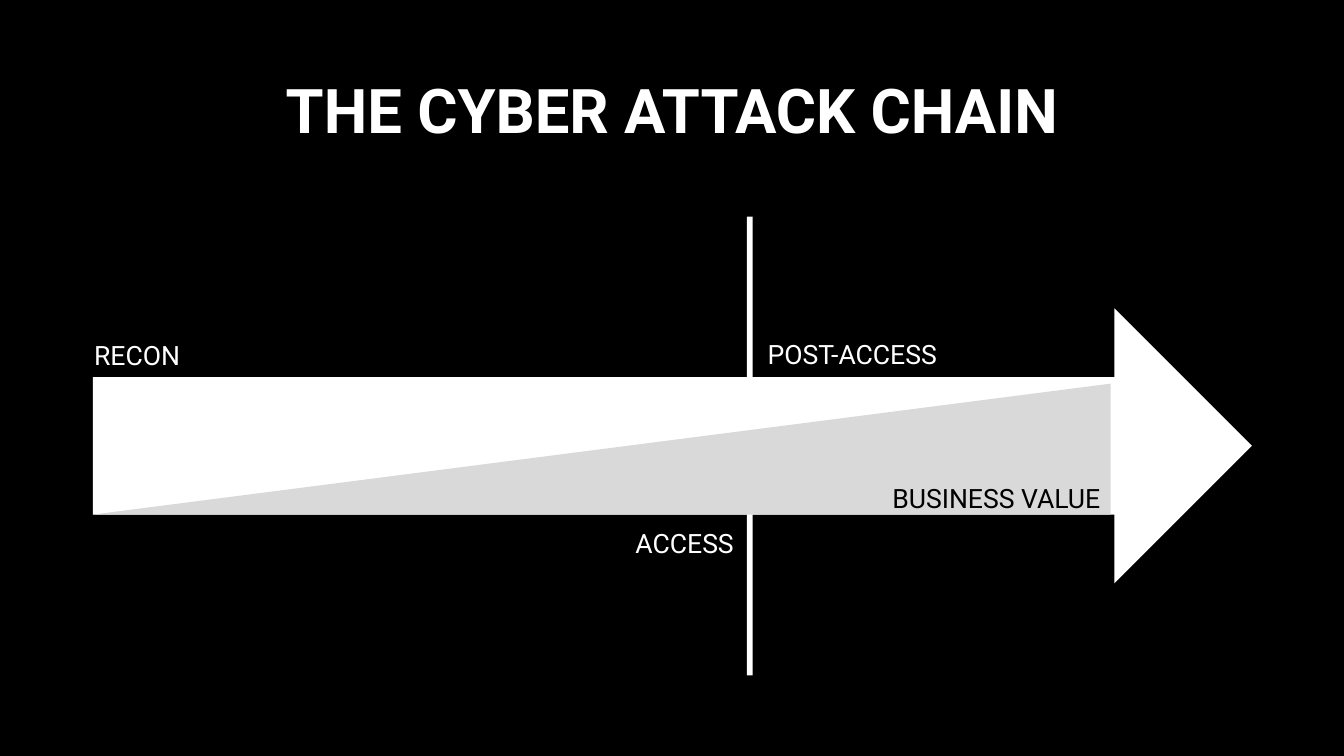
"""Builds the slide about the cyber attack chain."""
from dataclasses import dataclass

from pptx import Presentation
from pptx.dml.color import RGBColor as RGB
from pptx.enum.shapes import MSO_SHAPE as Shape
from pptx.enum.text import MSO_ANCHOR as Anchor, PP_ALIGN as Align
from pptx.util import Cm, Pt


@dataclass(frozen=True)
class Theme:
    """Colours, font and type sizes."""
    black: RGB = RGB(0x00, 0x00, 0x00)
    white: RGB = RGB(0xFF, 0xFF, 0xFF)
    grey: RGB = RGB(0xD9, 0xD9, 0xD9)
    font: str = "Roboto"
    title_size: int = 44
    label_size: int = 19


THEME = Theme()
LEFT, WIDTH = 2.34, 29.21
LABEL_HEIGHT = 1.37
ARROW_TOP, ARROW_HEIGHT = 7.77, 6.93
VALUE_WIDTH, VALUE_HEIGHT = 25.65, 3.3

TITLE = "THE CYBER ATTACK CHAIN"
LABELS = [
    ("RECON", 1.65, 8.28, 3.61, THEME.white),
    ("ACCESS", 15.54, 13.03, 3.43, THEME.white),
    ("POST-ACCESS", 18.57, 8.26, 5.82, THEME.white),
    ("BUSINESS VALUE", 21.44, 11.89, 7.34, THEME.black),
]


def add_solid(slide, kind, left, top, width, height, colour):
    """Add a filled shape without outline or shadow."""
    solid = slide.shapes.add_shape(kind, Cm(left), Cm(top), Cm(width), Cm(height))
    solid.shadow.inherit = False
    solid.fill.solid()
    solid.fill.fore_color.rgb = colour
    solid.line.fill.background()
    return solid


def add_words(slide, words, left, top, width, height, size, colour, inset, bold=False):
    """Add one centred line of text and return its text frame."""
    frame = slide.shapes.add_textbox(Cm(left), Cm(top), Cm(width), Cm(height)).text_frame
    frame.word_wrap = True
    frame.margin_left = frame.margin_right = Cm(0.25)
    frame.margin_top = frame.margin_bottom = Cm(inset)
    line = frame.paragraphs[0]
    line.alignment = Align.CENTER
    run = line.add_run()
    run.text = words
    run.font.name = THEME.font
    run.font.size = Pt(size)
    run.font.bold = bold
    run.font.color.rgb = colour
    return frame


def main():
    """Draw the title, the arrow with its parts, and the labels."""
    deck = Presentation()
    deck.slide_width, deck.slide_height = Cm(33.87), Cm(19.05)
    slide = deck.slides.add_slide(deck.slide_layouts[6])
    slide.background.fill.solid()
    slide.background.fill.fore_color.rgb = THEME.black

    title = add_words(slide, TITLE, LEFT, 1.02, WIDTH, 3.68,
                      THEME.title_size, THEME.white, 0.13, bold=True)
    title.vertical_anchor = Anchor.MIDDLE
    title.paragraphs[0].line_spacing = 0.9

    add_solid(slide, Shape.RIGHT_ARROW, LEFT, ARROW_TOP, WIDTH, ARROW_HEIGHT, THEME.white)
    add_solid(slide, Shape.RECTANGLE, 18.82, 5.46, 0.15, 11.56, THEME.white)
    shaft_bottom = ARROW_TOP + ARROW_HEIGHT * 0.75
    value = add_solid(slide, Shape.RIGHT_TRIANGLE, LEFT, shaft_bottom - VALUE_HEIGHT,
                      VALUE_WIDTH, VALUE_HEIGHT, THEME.grey)
    value.element.spPr.xfrm.set("flipH", "1")

    for words, left, top, width, colour in LABELS:
        add_words(slide, words, left, top, width, LABEL_HEIGHT,
                  THEME.label_size, colour, 0.25)

    deck.save("out.pptx")


if __name__ == "__main__":
    main()
